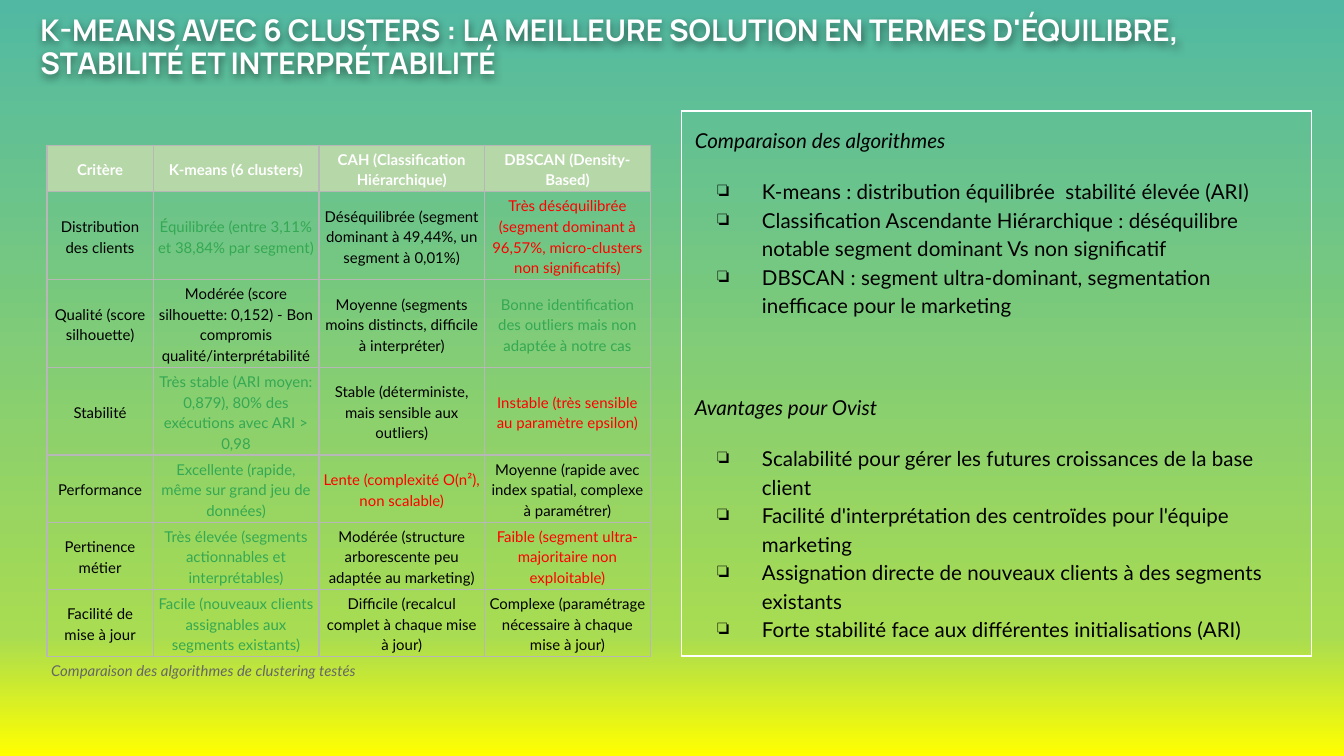
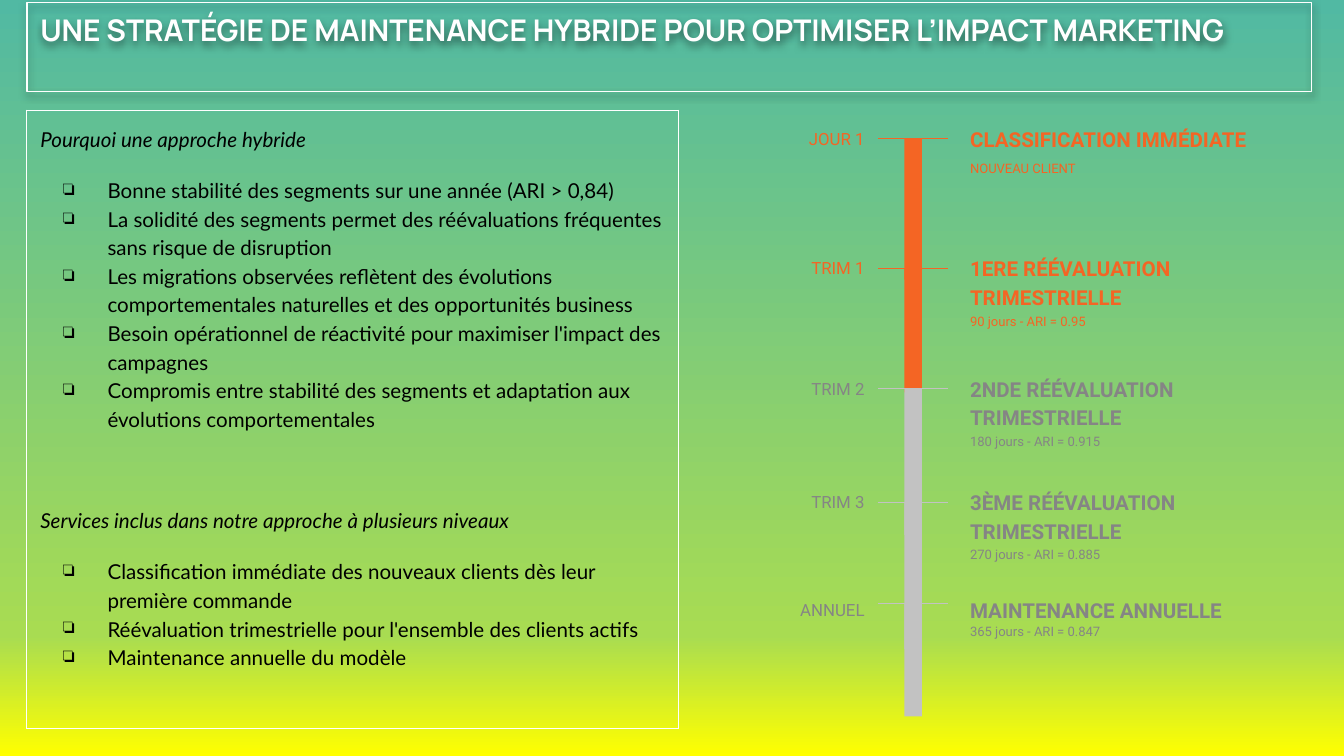
from lxml import etree
from pptx import Presentation
from pptx.dml.color import RGBColor
from pptx.enum.shapes import MSO_CONNECTOR, MSO_SHAPE
from pptx.enum.text import MSO_ANCHOR, MSO_AUTO_SIZE, PP_ALIGN
from pptx.oxml import parse_xml
from pptx.oxml.ns import qn
from pptx.util import Pt

LEFT, CENTER, RIGHT = PP_ALIGN.LEFT, PP_ALIGN.CENTER, PP_ALIGN.RIGHT
TOP, MIDDLE, BOTTOM = MSO_ANCHOR.TOP, MSO_ANCHOR.MIDDLE, MSO_ANCHOR.BOTTOM
RECTANGLE = MSO_SHAPE.RECTANGLE
STRAIGHT = MSO_CONNECTOR.STRAIGHT
NO_AUTOFIT = MSO_AUTO_SIZE.NONE

WHITE = RGBColor(0xFF, 0xFF, 0xFF)
BLACK = RGBColor(0x00, 0x00, 0x00)
GREEN = RGBColor(0x34, 0xA8, 0x53)
RED = RGBColor(0xFF, 0x00, 0x00)
PALE_GREEN = RGBColor(0xB6, 0xD7, 0xA8)
BORDER_GRAY = RGBColor(0xB7, 0xB7, 0xB7)
CAPTION_GRAY = RGBColor(0x66, 0x66, 0x66)
ORANGE = RGBColor(0xF4, 0x65, 0x24)
BAR_GRAY = RGBColor(0xC2, 0xC2, 0xC2)
TEXT_GRAY = RGBColor(0x85, 0x85, 0x85)
YELLOW = RGBColor(0xFF, 0xFF, 0x00)
LIME = RGBColor(0xA8, 0xDC, 0x52)
TEAL = RGBColor(0x51, 0xB9, 0xA3)

NAMESPACE = 'xmlns:a="http://schemas.openxmlformats.org/drawingml/2006/main"'
PLAIN_TABLE = "{2D5ABB26-0587-4C30-8999-92F81FD0307C}"
INSET = 7.2
TITLE_BOX = (14.4, 1.4, 688.3, 47.5)

ALGORITHMS = [
    ("Comparaison des algorithmes", [
        "K-means : distribution équilibrée  stabilité élevée (ARI)",
        "Classification Ascendante Hiérarchique : déséquilibre notable segment dominant Vs non significatif",
        "DBSCAN : segment ultra-dominant, segmentation inefficace pour le marketing",
    ]),
    ("Avantages pour Ovist", [
        "Scalabilité pour gérer les futures croissances de la base client",
        "Facilité d'interprétation des centroïdes pour l'équipe marketing",
        "Assignation directe de nouveaux clients à des segments existants",
        "Forte stabilité face aux différentes initialisations (ARI)",
    ]),
]

HYBRID = [
    ("Pourquoi une approche hybride", [
        "Bonne stabilité des segments sur une année (ARI > 0,84)",
        "La solidité des segments permet des réévaluations fréquentes sans risque de disruption",
        "Les migrations observées reflètent des évolutions comportementales naturelles "
        "et des opportunités business",
        "Besoin opérationnel de réactivité pour maximiser l'impact des campagnes",
        "Compromis entre stabilité des segments et adaptation aux évolutions comportementales",
    ]),
    ("Services inclus dans notre approche à plusieurs niveaux", [
        "Classification immédiate des nouveaux clients dès leur première commande",
        "Réévaluation trimestrielle pour l'ensemble des clients actifs",
        "Maintenance annuelle du modèle",
    ]),
]

HEADERS = ["Critère", "K-means (6 clusters)", "CAH (Classification Hiérarchique)",
           "DBSCAN (Density-Based)"]
CRITERIA = [
    (47, [("Distribution des clients", BLACK),
          ("Équilibrée (entre 3,11% et 38,84% par segment)", GREEN),
          ("Déséquilibrée (segment dominant à 49,44%, un segment à 0,01%)", BLACK),
          ("Très déséquilibrée (segment dominant à 96,57%, micro-clusters non significatifs)", RED)]),
    (47, [("Qualité (score silhouette)", BLACK),
          ("Modérée (score silhouette: 0,152) - Bon compromis qualité/interprétabilité", BLACK),
          ("Moyenne (segments moins distincts, difficile à interpréter)", BLACK),
          ("Bonne identification des outliers mais non adaptée à notre cas", GREEN)]),
    (47, [("Stabilité", BLACK),
          ("Très stable (ARI moyen: 0,879), 80% des exécutions avec ARI > 0,98", GREEN),
          ("Stable (déterministe, mais sensible aux outliers)", BLACK),
          ("Instable (très sensible au paramètre epsilon)", RED)]),
    (36, [("Performance", BLACK),
          ("Excellente (rapide, même sur grand jeu de données)", GREEN),
          ("Lente (complexité O(n²), non scalable)", RED),
          ("Moyenne (rapide avec index spatial, complexe à paramétrer)", BLACK)]),
    (36, [("Pertinence métier", BLACK),
          ("Très élevée (segments actionnables et interprétables)", GREEN),
          ("Modérée (structure arborescente peu adaptée au marketing)", BLACK),
          ("Faible (segment ultra-majoritaire non exploitable)", RED)]),
    (36, [("Facilité de mise à jour", BLACK),
          ("Facile (nouveaux clients assignables aux segments existants)", GREEN),
          ("Difficile (recalcul complet à chaque mise à jour)", BLACK),
          ("Complexe (paramétrage nécessaire à chaque mise à jour)", BLACK)]),
]

# label, heading, detail, line top, bar height, heading rise, heading height, detail drop, bar colour, text colour
MILESTONES = [
    ("JOUR 1", "CLASSIFICATION IMMÉDIATE", "NOUVEAU CLIENT",
     15.2, 75.6, 15.2, 21, 20.9, ORANGE, ORANGE),
    ("TRIM 1", "1ERE RÉÉVALUATION TRIMESTRIELLE", "90 jours - ARI = 0.95",
     85, 66.2, 15.8, 23, 33.8, ORANGE, ORANGE),
    ("ANNUEL", "MAINTENANCE ANNUELLE", "365 jours - ARI = 0.847",
     264.3, 60.5, 12.2, 16.6, 16.6, BAR_GRAY, TEXT_GRAY),
    ("TRIM 2", "2NDE RÉÉVALUATION TRIMESTRIELLE", "180 jours - ARI = 0.915",
     149.1, 78.5, 15.2, 21.6, 33.1, BAR_GRAY, TEXT_GRAY),
    ("TRIM 3", "3ÈME RÉÉVALUATION TRIMESTRIELLE", "270 jours - ARI = 0.885",
     210.3, 78.5, 15.8, 21.6, 33.1, BAR_GRAY, TEXT_GRAY),
]


def points(*lengths):
    return [Pt(length) for length in lengths]


def write(frame, text, *, size, color, font="Lato", bold=False, italic=False, align=LEFT,
          spacing=1.15, before=0, after=0, bullet=None, first=True):
    para = frame.paragraphs[0] if first else frame.add_paragraph()
    if bullet:
        properties = para._p.get_or_add_pPr()
        properties.set("marL", str(Pt(36)))
        properties.set("indent", str(Pt(-23.8)))
        tint = etree.SubElement(properties, qn("a:buClr"))
        etree.SubElement(tint, qn("a:srgbClr"), val=str(color))
        etree.SubElement(properties, qn("a:buChar"), char=bullet)
    para.alignment = align
    para.line_spacing = spacing
    para.space_before, para.space_after = points(before, after)
    span = para.add_run()
    span.text = text
    span.font.name = font
    span.font.size = Pt(size)
    span.font.bold = bold
    span.font.italic = italic
    span.font.color.rgb = color


def set_insets(target, horizontal=INSET, vertical=INSET):
    target.margin_left = target.margin_right = Pt(horizontal)
    target.margin_top = target.margin_bottom = Pt(vertical)


def add_page(deck, title, outlined=False):
    page = deck.slides.add_slide(deck.slide_layouts[5])
    fill = page.background.fill
    fill.gradient()
    gradient = page.background._cSld.find(".//" + qn("a:gradFill"))
    stops = "".join(f'<a:gs pos="{place}"><a:srgbClr val="{color}"/></a:gs>'
                    for place, color in ((0, YELLOW), (16000, LIME), (100000, TEAL)))
    gradient.getparent().replace(gradient, parse_xml(
        f'<a:gradFill {NAMESPACE}><a:gsLst>{stops}</a:gsLst>'
        '<a:lin ang="16200000" scaled="0"/></a:gradFill>'))

    shape = page.shapes.title
    shape.left, shape.top, shape.width, shape.height = points(*TITLE_BOX)
    shape.fill.background()
    if outlined:
        shape.line.color.rgb = WHITE
        shape.line.width = Pt(0.75)
    else:
        shape.line.fill.background()
    shape._element.spPr.append(parse_xml(
        f'<a:effectLst {NAMESPACE}><a:outerShdw blurRad="{Pt(4.5)}" dist="{Pt(1.5)}" '
        'dir="5400000" algn="bl" rotWithShape="0"><a:srgbClr val="000000">'
        '<a:alpha val="50000"/></a:srgbClr></a:outerShdw></a:effectLst>'))
    frame = shape.text_frame
    frame.word_wrap = True
    frame.auto_size = NO_AUTOFIT
    frame.vertical_anchor = TOP
    set_insets(frame)
    write(frame, title, size=16, color=WHITE, font="Manrope", bold=True, spacing=0.9)
    return page


def add_plain_table(page, left, top, widths, heights):
    frame = page.shapes.add_table(len(heights), len(widths),
                                  *points(left, top, sum(widths), sum(heights)))
    table = frame.table
    table.first_row = table.horz_banding = False
    table._tbl.tblPr.find(qn("a:tableStyleId")).text = PLAIN_TABLE
    for column, width in zip(table.columns, widths):
        column.width = Pt(width)
    for row, height in zip(table.rows, heights):
        row.height = Pt(height)
    return table


def format_cell(cell, border, sides="LRTB", fill=None):
    properties = cell._tc.get_or_add_tcPr()
    for side in sides:
        properties.append(parse_xml(
            f'<a:ln{side} {NAMESPACE} w="{Pt(0.75)}"><a:solidFill><a:srgbClr val="{border}"/>'
            f'</a:solidFill></a:ln{side}>'))
    if fill is None:
        cell.fill.background()
    else:
        cell.fill.solid()
        cell.fill.fore_color.rgb = fill


def add_argument_panel(page, left, top, width, height, sections):
    cell = add_plain_table(page, left, top, [width], [height]).cell(0, 0)
    format_cell(cell, WHITE)
    set_insets(cell)
    for index, (heading, items) in enumerate(sections):
        write(cell.text_frame, heading, size=11, color=BLACK, italic=True,
              before=39.2 if index else 0, first=index == 0)
        for position, item in enumerate(items):
            write(cell.text_frame, item, size=11, color=BLACK, bullet="❏",
                  before=0 if position else 12, first=False)


def add_comparison(page, left, top):
    heights = [25] + [height for height, _ in CRITERIA] + [13]
    table = add_plain_table(page, left, top, [56.9, 88.8, 88.8, 88.8], heights)
    rows = [[(text, WHITE) for text in HEADERS]] + [row for _, row in CRITERIA]
    for row_index, row in enumerate(rows):
        header = row_index == 0
        for column_index, (text, color) in enumerate(row):
            cell = table.cell(row_index, column_index)
            format_cell(cell, BORDER_GRAY, fill=PALE_GREEN if header else None)
            set_insets(cell, 2.2, 1.4)
            cell.vertical_anchor = MIDDLE
            write(cell.text_frame, text, size=8, color=color, bold=header, align=CENTER)
    last = len(rows)
    caption = table.cell(last, 0)
    caption.merge(table.cell(last, len(HEADERS) - 1))
    for column_index in range(len(HEADERS)):
        format_cell(table.cell(last, column_index), BORDER_GRAY, sides="T")
    set_insets(caption, 2.2, 1.4)
    caption.vertical_anchor = BOTTOM
    write(caption.text_frame, "Comparaison des algorithmes de clustering testés",
          size=8, color=CAPTION_GRAY, italic=True)


def add_label(group, box, text, **style):
    frame = group.shapes.add_textbox(*points(*box)).text_frame
    frame.word_wrap = True
    set_insets(frame)
    write(frame, text, font="Roboto", **style)


def add_timeline(page, left, top):
    for (label, heading, detail, line_top, bar_height, rise, height, drop,
         bar_color, text_color) in MILESTONES:
        group = page.shapes.add_group_shape()
        line_y = top + line_top
        bar = group.shapes.add_shape(RECTANGLE, *points(left + 66.9, line_y, 9.4, bar_height))
        bar.shadow.inherit = False
        bar.fill.solid()
        bar.fill.fore_color.rgb = bar_color
        bar.line.fill.background()
        tick = group.shapes.add_connector(
            STRAIGHT, *points(left + 90, line_y, left + 52.6, line_y))
        tick.line.color.rgb = bar_color
        tick.line.width = Pt(0.75)
        etree.SubElement(tick._element.spPr, qn("a:effectLst"))
        text_top = line_y - rise
        add_label(group, (left + 95, text_top, 190, height), heading,
                  size=11, color=text_color, bold=True)
        add_label(group, (left + 95, text_top + drop, 190, 1.5 * height), detail,
                  size=7, color=text_color, after=16)
        add_label(group, (left, text_top + 2.2, 52.6, 1.25 * height), label,
                  size=9, color=text_color, align=RIGHT)


def main():
    deck = Presentation()
    deck.slide_width, deck.slide_height = points(720, 405)

    page = add_page(deck, "K-MEANS AVEC 6 CLUSTERS : LA MEILLEURE SOLUTION EN TERMES "
                          "D'ÉQUILIBRE, STABILITÉ ET INTERPRÉTABILITÉ")
    add_argument_panel(page, 365, 59.5, 337.7, 292, ALGORITHMS)
    add_comparison(page, 25.2, 77.8)

    page = add_page(deck, "UNE STRATÉGIE DE MAINTENANCE HYBRIDE POUR OPTIMISER "
                          "L’IMPACT MARKETING", outlined=True)
    add_argument_panel(page, 14.4, 59, 349.2, 331.2, HYBRID)
    add_timeline(page, 417.6, 59)

    deck.save("out.pptx")


if __name__ == "__main__":
    main()
